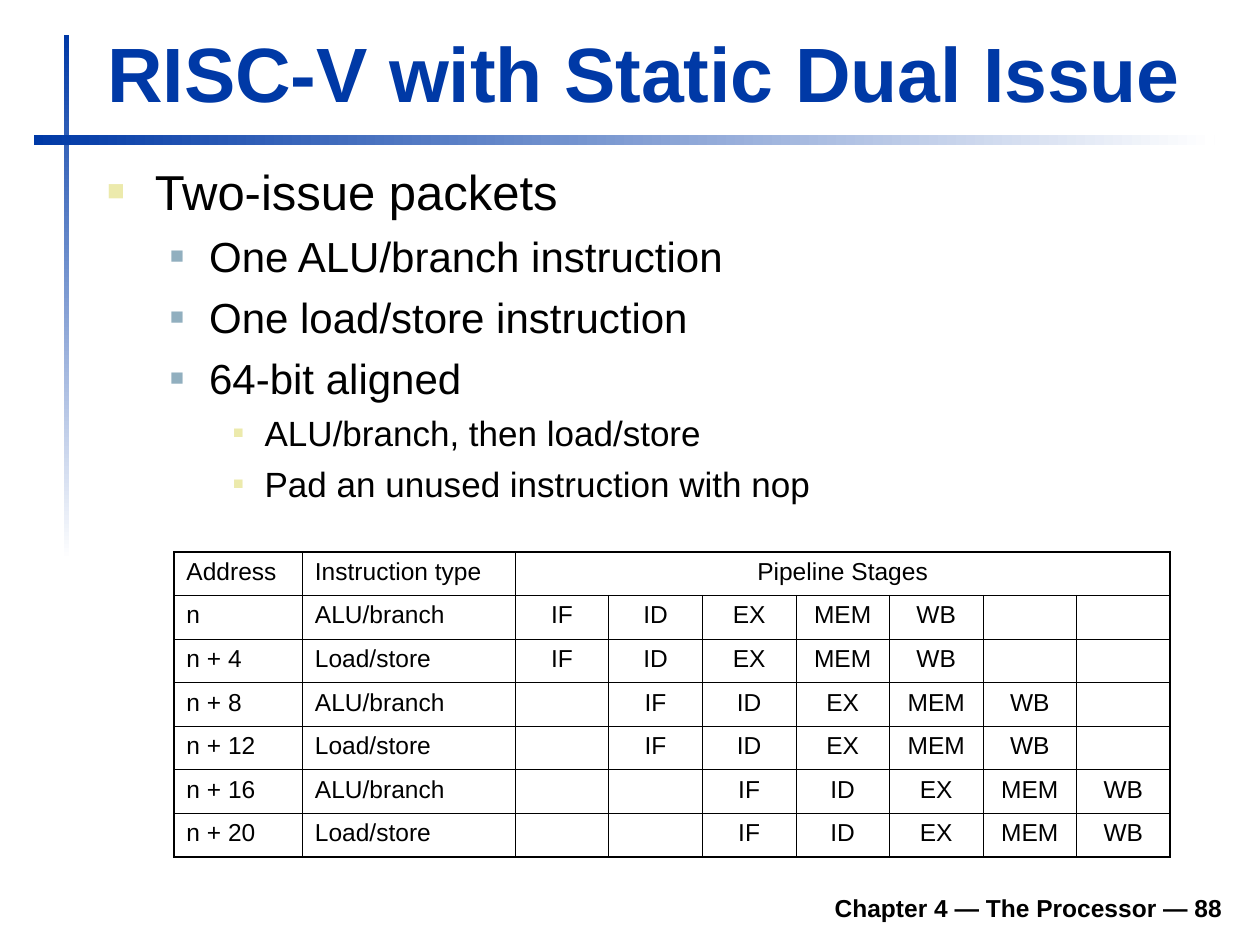
from lxml import etree
from pptx import Presentation
from pptx.dml.color import RGBColor
from pptx.enum import shapes, text
from pptx.oxml.ns import qn
from pptx.util import Inches, Pt

BLUE, BLACK, WHITE = "0039A6", "000000", "FFFFFF"
TITLE = "RISC-V with Static Dual Issue"
FOOTER = "Chapter 4 — The Processor — 88"
BULLETS = [
    (0, "Two-issue packets"),
    (1, "One ALU/branch instruction"),
    (1, "One load/store instruction"),
    (1, "64-bit aligned"),
    (2, "ALU/branch, then load/store"),
    (2, "Pad an unused instruction with nop"),
]
# size, space before, left indent, hanging indent, bullet colour, bullet percent
LEVELS = [
    (28, 7, 0.38, 0.38, "ECEAAC", 60),
    (24, 6, 0.81, 0.31, "91AFBF", 55),
    (20, 5, 1.25, 0.25, "ECEAAC", 50),
]
HEADERS = ["Address", "Instruction type", "Pipeline Stages"]
STAGES = ["IF", "ID", "EX", "MEM", "WB"]
PACKET = ["ALU/branch", "Load/store"]
PACKETS, CYCLES = 3, 7
BARS = [((0.51, 0.28, 0.04, 4.17), 270), ((0.27, 1.07, 9.37, 0.08), 0)]

TABLE_LEFT, TABLE_TOP, TABLE_WIDTH, TABLE_HEIGHT = 1.38, 4.38, 7.91, 2.42
LABEL_WIDTHS = [1.02, 1.69]
OUTER, HEADER_LINE, INNER = 1.08, 0.75, 0.45


def color(value):
    return RGBColor.from_string(value)


def write(paragraph, words, size=14, bold=False, ink=BLACK, align="LEFT", before=0):
    paragraph.alignment = getattr(text.PP_ALIGN, align)
    paragraph.space_before = Pt(before)
    if not words:
        # An empty cell needs the text size too, or its row grows.
        etree.SubElement(paragraph._p, qn("a:endParaRPr"), sz=str(size * 100))
        return
    run = paragraph.add_run()
    run.text = words
    run.font.size, run.font.bold, run.font.name = Pt(size), bold, "Arial"
    run.font.color.rgb = color(ink)


def place(shape, left, top, width, height):
    shape.left, shape.top = Inches(left), Inches(top)
    shape.width, shape.height = Inches(width), Inches(height)


def add_bullet(paragraph, left, hanging, ink, percent):
    props = paragraph._p.get_or_add_pPr()
    props.set("marL", str(Inches(left)))
    props.set("indent", str(-Inches(hanging)))
    bullet_color = etree.SubElement(props, qn("a:buClr"))
    etree.SubElement(bullet_color, qn("a:srgbClr"), val=ink)
    etree.SubElement(props, qn("a:buSzPct"), val=str(percent * 1000))
    etree.SubElement(props, qn("a:buFont"), typeface="Arial")
    etree.SubElement(props, qn("a:buChar"), char="■")


def set_borders(cell, **widths):
    props = cell._tc.get_or_add_tcPr()
    for index, side in enumerate("LRTB"):
        line = etree.Element(qn(f"a:ln{side}"), w=str(Pt(widths[side])))
        fill = etree.SubElement(line, qn("a:solidFill"))
        etree.SubElement(fill, qn("a:srgbClr"), val=BLACK)
        props.insert(index, line)


def add_bars(slide):
    for box, angle in BARS:
        bar = slide.shapes.add_shape(shapes.MSO_SHAPE.RECTANGLE, *map(Inches, box))
        bar.shadow.inherit = False
        bar.line.fill.background()
        bar.fill.gradient()
        bar.fill.gradient_angle = angle
        for stop, position, ink in zip(bar.fill.gradient_stops, (0, 1), (BLUE, WHITE)):
            stop.position = position
            stop.color.rgb = color(ink)


def add_title_and_list(slide):
    title, body = slide.placeholders
    place(title, 0.75, 0.16, 9.03, 0.83)
    place(body, 0.75, 1.23, 9.04, 3.02)
    for holder, anchor in ((title, "BOTTOM"), (body, "TOP")):
        holder.text_frame.auto_size = text.MSO_AUTO_SIZE.NONE
        holder.text_frame.vertical_anchor = getattr(text.MSO_ANCHOR, anchor)
    write(title.text_frame.paragraphs[0], TITLE, size=44, bold=True, ink=BLUE)
    for index, (level, words) in enumerate(BULLETS):
        frame = body.text_frame
        paragraph = frame.add_paragraph() if index else frame.paragraphs[0]
        size, before, *bullet = LEVELS[level]
        paragraph.level = level
        write(paragraph, words, size=size, before=before if index else 0)
        add_bullet(paragraph, *bullet)


def pipeline_rows():
    """Each packet starts one cycle after the one before it."""
    rows = [HEADERS + [""] * (CYCLES - 1)]
    for number in range(PACKETS * len(PACKET)):
        start, slot = divmod(number, len(PACKET))
        address = f"n + {4 * number}" if number else "n"
        after = CYCLES - len(STAGES) - start
        rows.append([address, PACKET[slot]] + [""] * start + STAGES + [""] * after)
    return rows


def add_pipeline_table(slide):
    rows = pipeline_rows()
    last_row, last_col = len(rows) - 1, len(rows[0]) - 1
    labels = len(LABEL_WIDTHS)
    table = slide.shapes.add_table(
        len(rows), len(rows[0]), Inches(TABLE_LEFT), Inches(TABLE_TOP),
        Inches(TABLE_WIDTH), Inches(TABLE_HEIGHT)).table
    table.first_row = table.horz_banding = False
    stage_width = (TABLE_WIDTH - sum(LABEL_WIDTHS)) / CYCLES
    for column, width in zip(table.columns, LABEL_WIDTHS + [stage_width] * CYCLES):
        column.width = Inches(width)
    table.cell(0, labels).merge(table.cell(0, last_col))
    for r, row in enumerate(rows):
        for c, words in enumerate(row):
            cell = table.cell(r, c)
            cell.fill.background()
            at_right = c == last_col or cell.is_merge_origin
            set_borders(
                cell,
                L=INNER if c else OUTER,
                R=OUTER if at_right else INNER,
                T={0: OUTER, 1: HEADER_LINE}.get(r, INNER),
                B={0: HEADER_LINE, last_row: OUTER}.get(r, INNER))
            write(cell.text_frame.paragraphs[0], words,
                  align="LEFT" if c < labels else "CENTER")


def add_footer(slide):
    footer = slide.shapes.add_textbox(*map(Inches, (1.85, 6.98, 7.95, 0.39)))
    footer.text_frame.word_wrap = True
    footer.text_frame.vertical_anchor = text.MSO_ANCHOR.BOTTOM
    write(footer.text_frame.paragraphs[0], FOOTER, bold=True, align="RIGHT")


def main():
    deck = Presentation()
    deck.slide_width, deck.slide_height = Inches(10), Inches(7.5)
    slide = deck.slides.add_slide(deck.slide_layouts[1])
    add_bars(slide)
    add_footer(slide)
    add_title_and_list(slide)
    add_pipeline_table(slide)
    deck.save("out.pptx")


if __name__ == "__main__":
    main()
